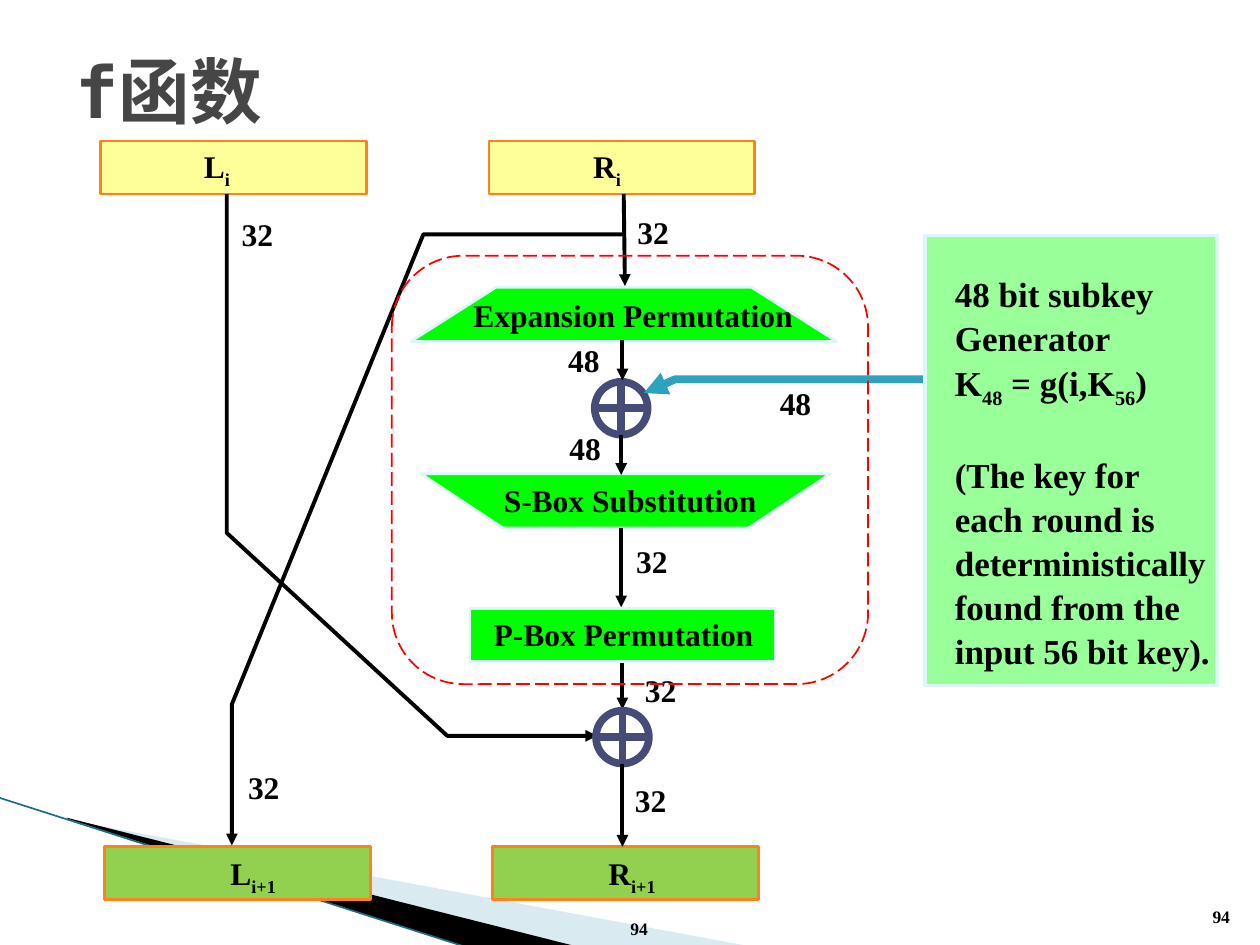
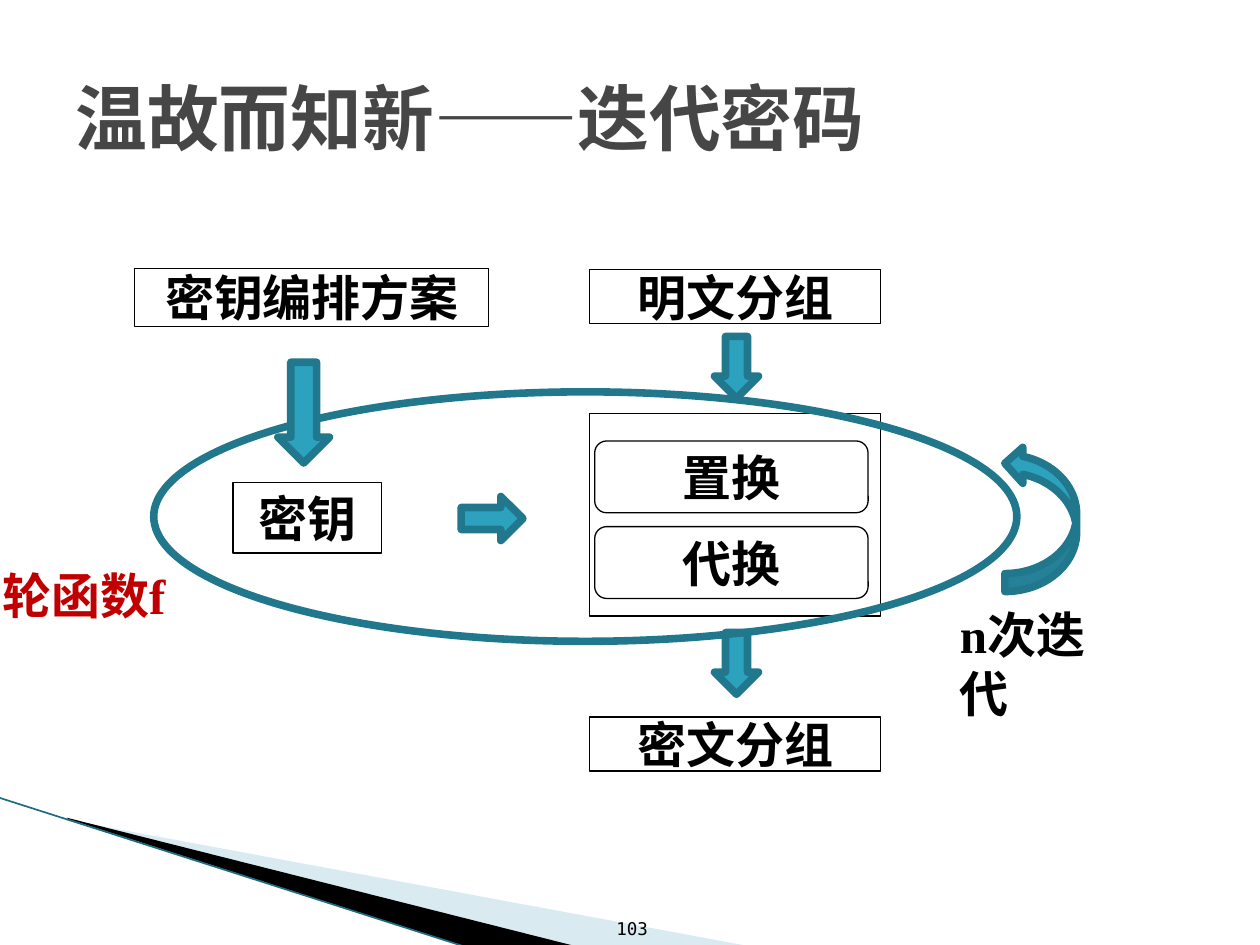
from dataclasses import dataclass

from lxml import etree
from pptx import Presentation
from pptx.dml.color import RGBColor
from pptx.enum.dml import MSO_LINE
from pptx.enum.shapes import MSO_CONNECTOR, MSO_SHAPE
from pptx.enum.text import MSO_ANCHOR, MSO_AUTO_SIZE, PP_ALIGN
from pptx.oxml.ns import qn
from pptx.util import Pt

PX = 9144

RECT = MSO_SHAPE.RECTANGLE
ROUND = MSO_SHAPE.ROUNDED_RECTANGLE
TRAPEZOID = MSO_SHAPE.FLOWCHART_MANUAL_OPERATION
XOR = MSO_SHAPE.FLOWCHART_OR
OVAL = MSO_SHAPE.OVAL
ARROW = MSO_SHAPE.RIGHT_ARROW
CURVED = MSO_SHAPE.CURVED_UP_ARROW
STRAIGHT = MSO_CONNECTOR.STRAIGHT
DASH = MSO_LINE.LONG_DASH
LEFT, CENTER, RIGHT = PP_ALIGN.LEFT, PP_ALIGN.CENTER, PP_ALIGN.RIGHT
TOP, MIDDLE, BOTTOM = MSO_ANCHOR.TOP, MSO_ANCHOR.MIDDLE, MSO_ANCHOR.BOTTOM
GROW = MSO_AUTO_SIZE.SHAPE_TO_FIT_TEXT


@dataclass(frozen=True)
class Theme:
    serif: str = "Times New Roman"
    mono: str = "DejaVu Sans Mono"
    title_size: int = 41
    block_size: int = 28
    key_size: int = 20
    label_size: int = 18
    page_size: int = 10
    black: str = "000000"
    white: str = "FFFFFF"
    title: str = "464646"
    band: str = "A0CBDC"
    band_edge: str = "1E6C80"
    input: str = "FFFF99"
    output: str = "92D050"
    orange: str = "FF8119"
    step: str = "00FF00"
    key: str = "99FF99"
    pale: str = "DEF5FA"
    xor: str = "474B78"
    teal: str = "2DA2BF"
    teal_dark: str = "21788D"
    red: str = "FF0000"
    round_name: str = "C00000"


T = Theme()
IN_BOX = {"fill": T.input, "line": T.orange, "width": 1.5}
OUT_BOX = {"fill": T.output, "line": T.orange, "width": 1.5}
STEP = {"fill": T.step, "line": T.pale, "width": 1.5}
KEY = {"fill": T.key, "line": T.pale, "width": 2}
XOR_LOOK = {"fill": T.white, "line": T.xor, "width": 4.33}
BLOCK = {"fill": T.white, "line": T.black, "width": 0.75}
TEAL = {"fill": T.teal, "line": T.teal_dark, "width": 4.33}
RING = {"line": T.teal_dark, "width": 4.33}
FLOW = {"line": T.black, "width": 2.25}
KEY_FLOW = {"line": T.teal, "width": 4.5}
FRAME = {"line": T.red, "width": 1}


def emu(*lengths):
    return [n * PX for n in lengths]


def rgb(value):
    return RGBColor.from_string(value)


def set_line(line, color, width):
    if color is None:
        line.fill.background()
        return
    line.color.rgb = rgb(color)
    line.width = Pt(width)


def paint(sp, fill=None, line=None, width=1):
    sp.shadow.inherit = False
    if fill:
        sp.fill.solid()
        sp.fill.fore_color.rgb = rgb(fill)
    else:
        sp.fill.background()
    set_line(sp.line, line, width)


def arrowhead(sp):
    ln = sp.line._get_or_add_ln()
    etree.SubElement(ln, qn("a:tailEnd"), type="triangle")


def write(tf, lines, size, color=T.black, font=T.serif, bold=True, align=LEFT, **frame):
    for name, value in frame.items():
        setattr(tf, name, value)
    fmt = {"name": font, "size": Pt(size), "bold": bold}
    for i, line in enumerate(lines):
        p = tf.add_paragraph() if i else tf.paragraphs[0]
        p.alignment = align
        for j, part in enumerate(line.split("_")):
            if not part:
                continue
            r = p.add_run()
            r.text = part
            for name, value in fmt.items():
                setattr(r.font, name, value)
            r.font.color.rgb = rgb(color)
            if j % 2:
                r._r.get_or_add_rPr().set("baseline", "-25000")


def add_text(slide, box, text, size, **fmt):
    tf = slide.shapes.add_textbox(*emu(*box)).text_frame
    write(tf, text.split("\n"), size, **fmt)
    return tf


def add_label(slide, x, y, text, w=45, wrap=False):
    add_text(slide, (x, y, w, 40), text, T.label_size, word_wrap=wrap, auto_size=GROW)


def add_box(slide, kind, box, look, rotation=0):
    sp = slide.shapes.add_shape(kind, *emu(*box))
    paint(sp, **look)
    sp.rotation = rotation
    return sp


def add_block(slide, kind, box, text):
    sp = add_box(slide, kind, box, BLOCK)
    write(sp.text_frame, [text], T.block_size, align=CENTER,
          vertical_anchor=MIDDLE, word_wrap=False)


def add_outline(slide, points, look, closed=False):
    builder = slide.shapes.build_freeform(*points[0], scale=float(PX))
    builder.add_line_segments(points[1:], close=closed)
    sp = builder.convert_to_shape()
    paint(sp, **look)
    return sp


def add_route(slide, points, look):
    arrowhead(add_outline(slide, points, look))


def add_line(slide, start, end, color, width):
    cx = slide.shapes.add_connector(STRAIGHT, *emu(*start, *end))
    set_line(cx.line, color, width)
    etree.SubElement(cx._element.spPr, qn("a:effectLst"))
    return cx


def add_arrow(slide, start, end):
    arrowhead(add_line(slide, start, end, FLOW["line"], FLOW["width"]))


def add_band(slide):
    light = add_outline(slide, [(55, 651), (595, 751), (456, 751), (55, 650)],
                        {"fill": T.band}, closed=True)
    color = light._element.spPr.find(qn("a:solidFill"))[0]
    etree.SubElement(color, qn("a:alpha"), val="40000")
    add_outline(slide, [(53, 649), (457, 751), (372, 752), (54, 650)],
                {"fill": T.black}, closed=True)
    add_line(slide, (-1, 633), (371, 752), T.band_edge, 0.95)


def add_page(slide, box, number, **fmt):
    add_text(slide, box, number, T.page_size, align=RIGHT, vertical_anchor=BOTTOM,
             word_wrap=True, **fmt)


def start_slide(prs, title, title_height, number, **page_fmt):
    slide = prs.slides.add_slide(prs.slide_layouts[6])
    add_band(slide)
    add_page(slide, (468, 701, 56, 49), number, **page_fmt)
    add_text(slide, (50, 30, 900, title_height), title, T.title_size, color=T.title,
             font=T.mono, vertical_anchor=MIDDLE, word_wrap=True)
    return slide


def f_function_slide(prs):
    slide = start_slide(prs, "f函数", 82, "94")
    add_page(slide, (946, 701, 40, 40), "94")

    for x, y, look in ((80, 112, IN_BOX), (388, 112, IN_BOX),
                       (83, 672, OUT_BOX), (391, 672, OUT_BOX)):
        add_box(slide, RECT, (x, y, 211, 42), look)
    for x, y, text, w in ((152, 112, "L_i_", 42), (461, 112, "R_i_", 54),
                          (173, 673, "L_i+1_", 99), (473, 673, "R_i+1_", 78)):
        add_label(slide, x, y, text, w, wrap=w > 42)

    add_box(slide, XOR, (472, 303, 42, 42), XOR_LOOK)
    add_box(slide, TRAPEZOID, (334, 376, 325, 43), STEP)
    add_box(slide, TRAPEZOID, (326, 228, 338, 43), STEP, rotation=180)
    add_route(slide, [(751, 301), (536, 301), (511, 312)], KEY_FLOW)
    add_box(slide, RECT, (734, 187, 232, 357), KEY)
    tf = add_text(slide, (748, 210, 224, 313),
                  "48 bit subkey\nGenerator\nK_48_ = g(i,K_56_)\n(The key for\neach round is\n"
                  "deterministically\nfound from the\ninput 56 bit key).",
                  T.key_size, word_wrap=False, auto_size=GROW)
    for p in tf.paragraphs:
        p.line_spacing = 1.05
    tf.paragraphs[3].space_before = Pt(24)

    add_route(slide, [(180, 154), (180, 423), (355, 584), (474, 584)], FLOW)
    for start, end in (((495, 154), (496, 227)), ((494, 270), (494, 302)),
                       ((493, 345), (493, 377)), ((493, 419), (493, 482)),
                       ((494, 524), (494, 563))):
        add_arrow(slide, start, end)
    add_box(slide, XOR, (473, 564, 42, 42), XOR_LOOK)
    add_box(slide, RECT, (373, 483, 242, 42), STEP)
    add_arrow(slide, (494, 606), (494, 672))
    add_route(slide, [(495, 186), (336, 186), (184, 559), (184, 671)], FLOW)

    add_label(slide, 366, 230, "Expansion Permutation", 276)
    add_label(slide, 390, 377, "S-Box Substitution", 223)
    add_label(slide, 382, 483, "P-Box Permutation", 228)
    bit_widths = {"32": ((496, 164), (495, 425), (502, 528), (494, 615), (187, 605), (182, 166)),
                  "48": ((441, 266), (609, 300), (442, 336))}
    for bits, places in bit_widths.items():
        for x, y in places:
            add_label(slide, x, y, bits)
    add_box(slide, ROUND, (311, 203, 378, 340), FRAME).line.dash_style = DASH


def iterated_cipher_slide(prs):
    slide = start_slide(prs, "温故而知新——迭代密码", 125, "103", font=T.mono, bold=False)
    add_box(slide, RECT, (468, 328, 231, 161), BLOCK)
    for kind, box, text in ((RECT, (468, 214, 231, 43), "明文分组"),
                            (RECT, (468, 569, 231, 43), "密文分组"),
                            (ROUND, (472, 350, 217, 57), "置换"),
                            (ROUND, (472, 418, 217, 57), "代换"),
                            (RECT, (185, 383, 118, 56), "密钥"),
                            (RECT, (107, 213, 281, 46), "密钥编排方案")):
        add_block(slide, kind, box, text)
    add_text(slide, (752, 475, 140, 57), "n次迭代", T.block_size, word_wrap=True, auto_size=GROW)

    add_box(slide, CURVED, (768, 383, 116, 57), TEAL, rotation=270)
    add_box(slide, ARROW, (366, 394, 49, 35), TEAL)
    for y in (274, 509):
        add_box(slide, ARROW, (560, y, 49, 35), TEAL, rotation=90)
    add_box(slide, OVAL, (122, 311, 685, 198), RING)
    add_text(slide, (-8, 444, 170, 57), "轮函数f", T.block_size, color=T.round_name,
             word_wrap=True, auto_size=GROW)
    add_box(slide, ARROW, (201, 307, 80, 41), TEAL, rotation=90)


def main():
    prs = Presentation()
    prs.slide_width, prs.slide_height = emu(1000, 750)
    f_function_slide(prs)
    iterated_cipher_slide(prs)
    prs.save("out.pptx")


if __name__ == "__main__":
    main()
